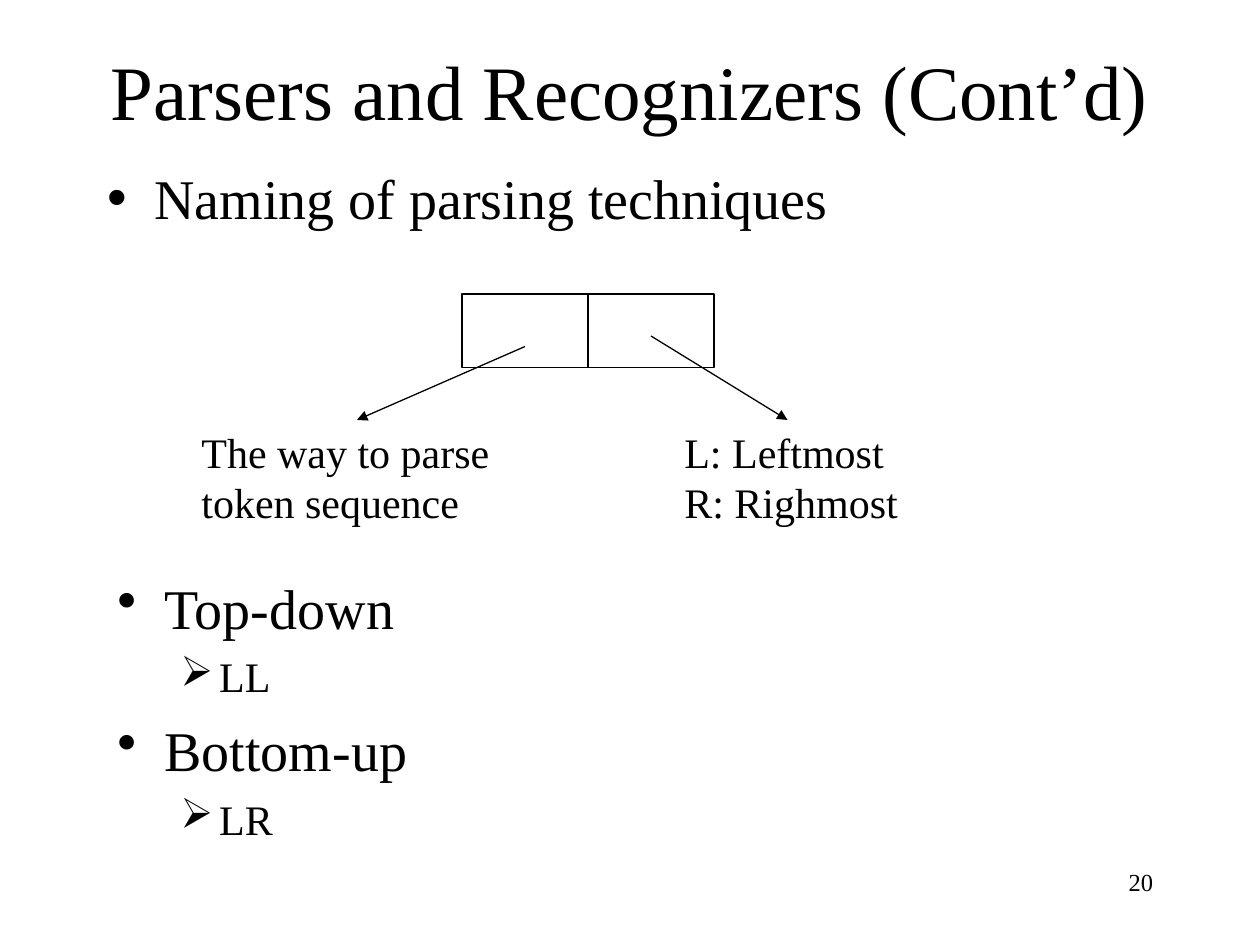
from lxml.etree import SubElement
from pptx import Presentation
from pptx.dml.color import RGBColor as RGB
from pptx.enum.shapes import MSO_CONNECTOR as CONN, MSO_SHAPE as SHAPE
from pptx.enum.text import MSO_ANCHOR as ANCHOR, MSO_AUTO_SIZE as FIT, PP_ALIGN as ALIGN
from pptx.oxml.ns import qn
from pptx.util import Emu, Pt

SCALE = 7620
FONT = "Times New Roman"
COLORS = {"ink": "000000", "paper": "FFFFFF"}
LEVELS = [
    {"char": "•", "margin": 45, "indent": -45, "size": 32, "before": 8},
    {"char": "➢", "margin": 97, "indent": -37, "size": 24, "before": 6},
]


def px(n):
    return Emu(n * SCALE)


def color(name):
    return RGB.from_string(COLORS[name])


def place(s, x, y, w, h):
    s.left, s.top, s.width, s.height = px(x), px(y), px(w), px(h)


def write(p, text, size=24, align=ALIGN.LEFT, before=0):
    p.alignment = align
    p.space_before = Pt(before)
    r = p.add_run()
    r.text = text
    r.font.name = FONT
    r.font.size = Pt(size)
    r.font.color.rgb = color("ink")


def add_bullet(p, level):
    style = LEVELS[level]
    p.level = level
    pPr = p._p.get_or_add_pPr()
    pPr.set("marL", str(px(style["margin"])))
    pPr.set("indent", str(px(style["indent"])))
    clr = SubElement(pPr, qn("a:buClr"))
    SubElement(clr, qn("a:srgbClr"), val=COLORS["ink"])
    SubElement(pPr, qn("a:buChar"), char=style["char"])


def paragraphs(tf, items):
    for i, item in enumerate(items):
        yield i, tf.add_paragraph() if i else tf.paragraphs[0], item


def fill_list(tf, items):
    tf.word_wrap = True
    tf.auto_size = FIT.NONE
    tf.vertical_anchor = ANCHOR.TOP
    for i, p, (level, text) in paragraphs(tf, items):
        add_bullet(p, level)
        style = LEVELS[level]
        write(p, text, size=style["size"], before=style["before"] if i else 0)


def add_textbox(slide, x, y, w, h):
    return slide.shapes.add_textbox(px(x), px(y), px(w), px(h)).text_frame


def add_label(slide, x, y, w, h, lines):
    tf = add_textbox(slide, x, y, w, h)
    tf.word_wrap = False
    tf.auto_size = FIT.SHAPE_TO_FIT_TEXT
    for _, p, text in paragraphs(tf, lines):
        write(p, text)


def outline(s):
    s.line.color.rgb = color("ink")
    s.line.width = Pt(0.75)


def add_cell(slide, x, y, w, h):
    s = slide.shapes.add_shape(SHAPE.RECTANGLE, px(x), px(y), px(w), px(h))
    s.shadow.inherit = False
    s.fill.background()
    outline(s)


def add_arrow(slide, x1, y1, x2, y2):
    s = slide.shapes.add_connector(CONN.STRAIGHT, px(x1), px(y1), px(x2), px(y2))
    outline(s)
    SubElement(s.line._get_or_add_ln(), qn("a:tailEnd"), type="triangle")
    SubElement(s._element.spPr, qn("a:effectLst"))


def main():
    prs = Presentation()
    prs.slide_width, prs.slide_height = px(1200), px(900)
    slide = prs.slides.add_slide(prs.slide_layouts[1])
    slide.background.fill.solid()
    slide.background.fill.fore_color.rgb = color("paper")

    title, body = slide.placeholders
    place(title, 90, 30, 1020, 110)
    tf = title.text_frame
    tf.auto_size = FIT.NONE
    tf.vertical_anchor = ANCHOR.MIDDLE
    write(tf.paragraphs[0], "Parsers and Recognizers (Cont’d)", size=44, align=ALIGN.CENTER)
    place(body, 90, 150, 1020, 80)
    fill_list(body.text_frame, [(0, "Naming of parsing techniques")])

    for i in range(2):
        add_cell(slide, 440 + 120 * i, 280, 120, 70)
    add_label(slide, 180, 400, 308, 108, ["The way to parse", "token sequence"])
    add_label(slide, 640, 400, 238, 108, ["L: Leftmost", "R: Righmost"])
    add_arrow(slide, 500, 330, 340, 400)
    add_arrow(slide, 620, 320, 750, 400)

    fill_list(add_textbox(slide, 100, 540, 1030, 260),
              [(0, "Top-down"), (1, "LL"), (0, "Bottom-up"), (1, "LR")])
    tf = add_textbox(slide, 860, 820, 250, 60)
    tf.word_wrap = True
    write(tf.paragraphs[0], "20", size=14, align=ALIGN.RIGHT)
    prs.save("out.pptx")


if __name__ == "__main__":
    main()
